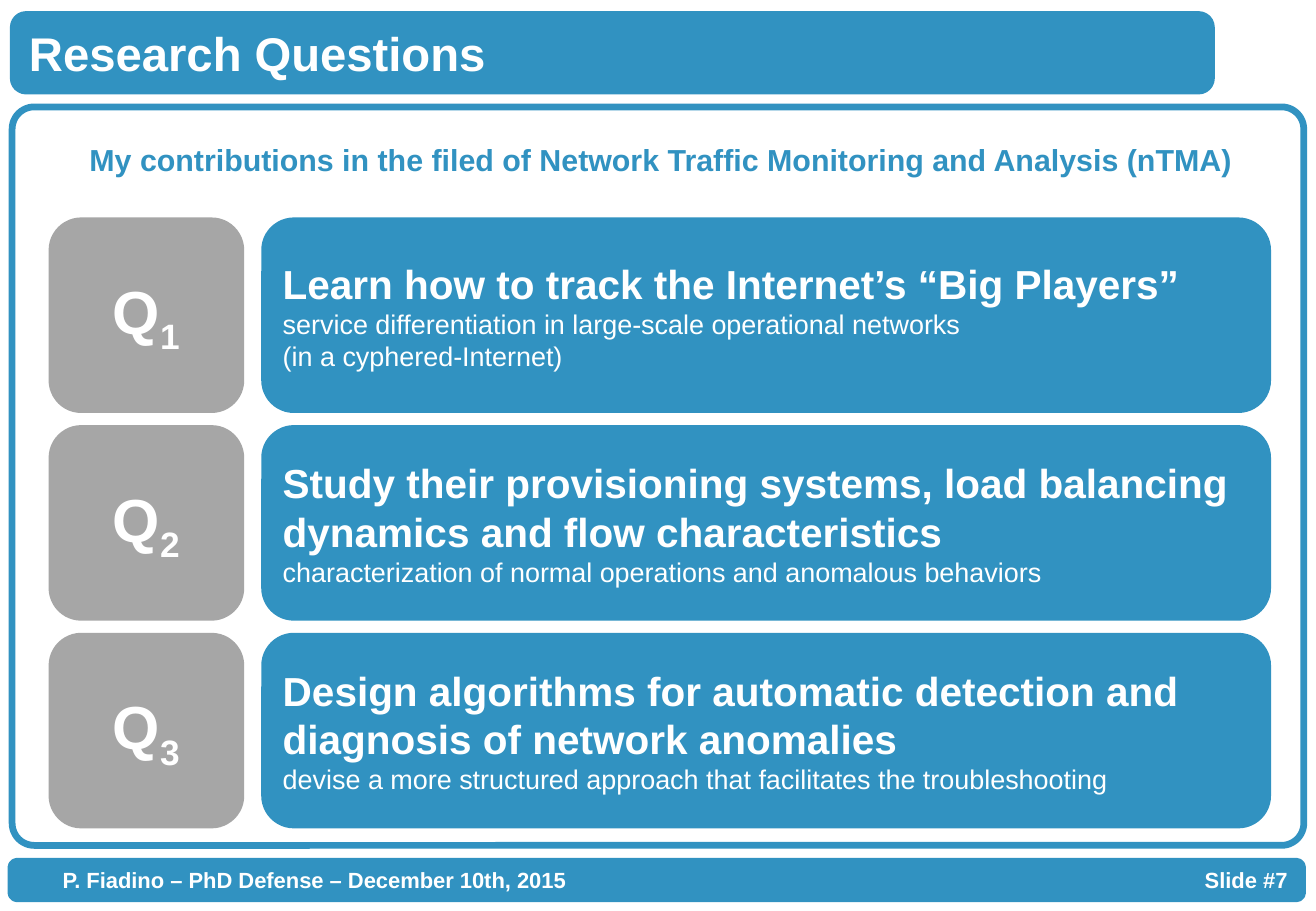
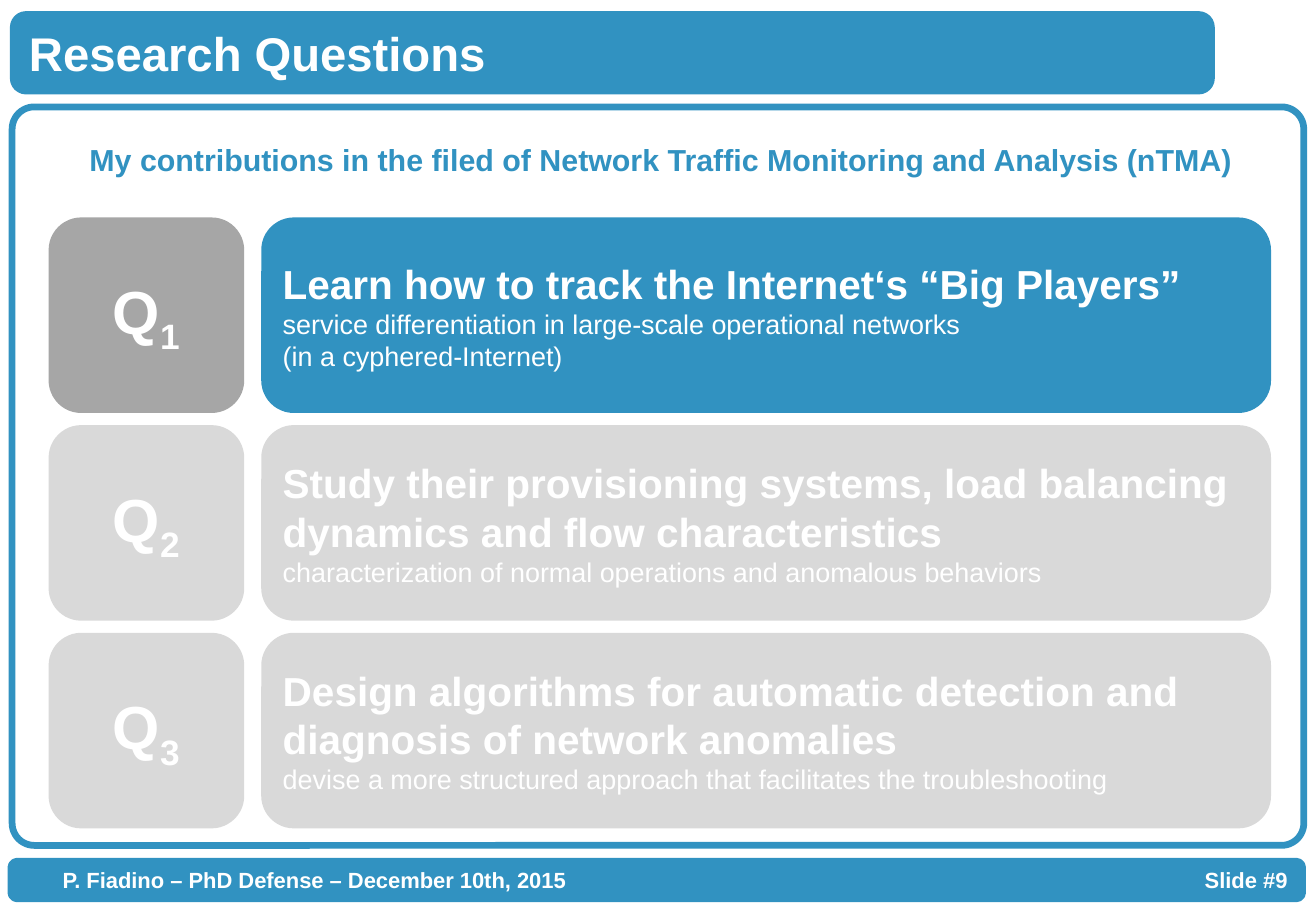
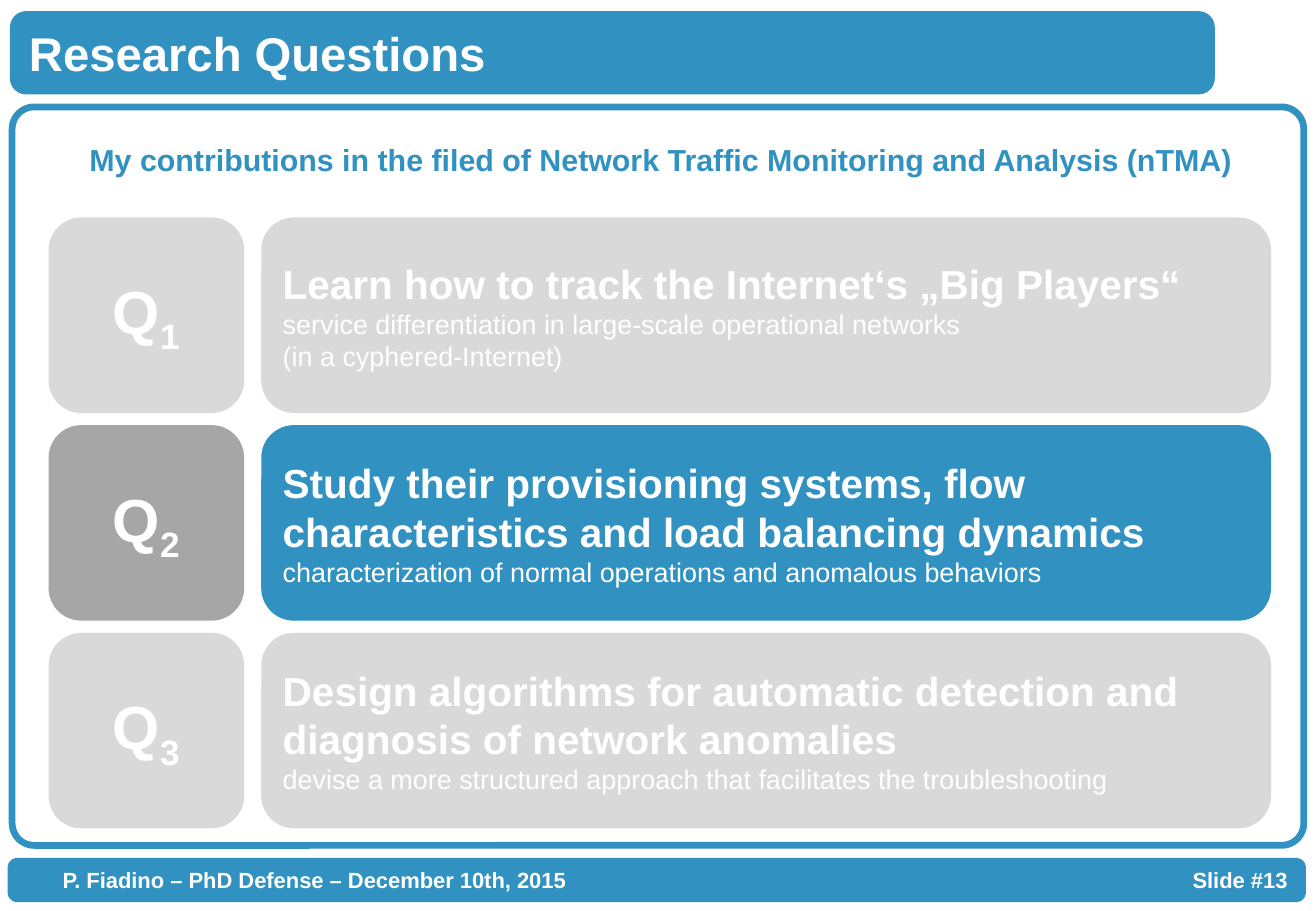
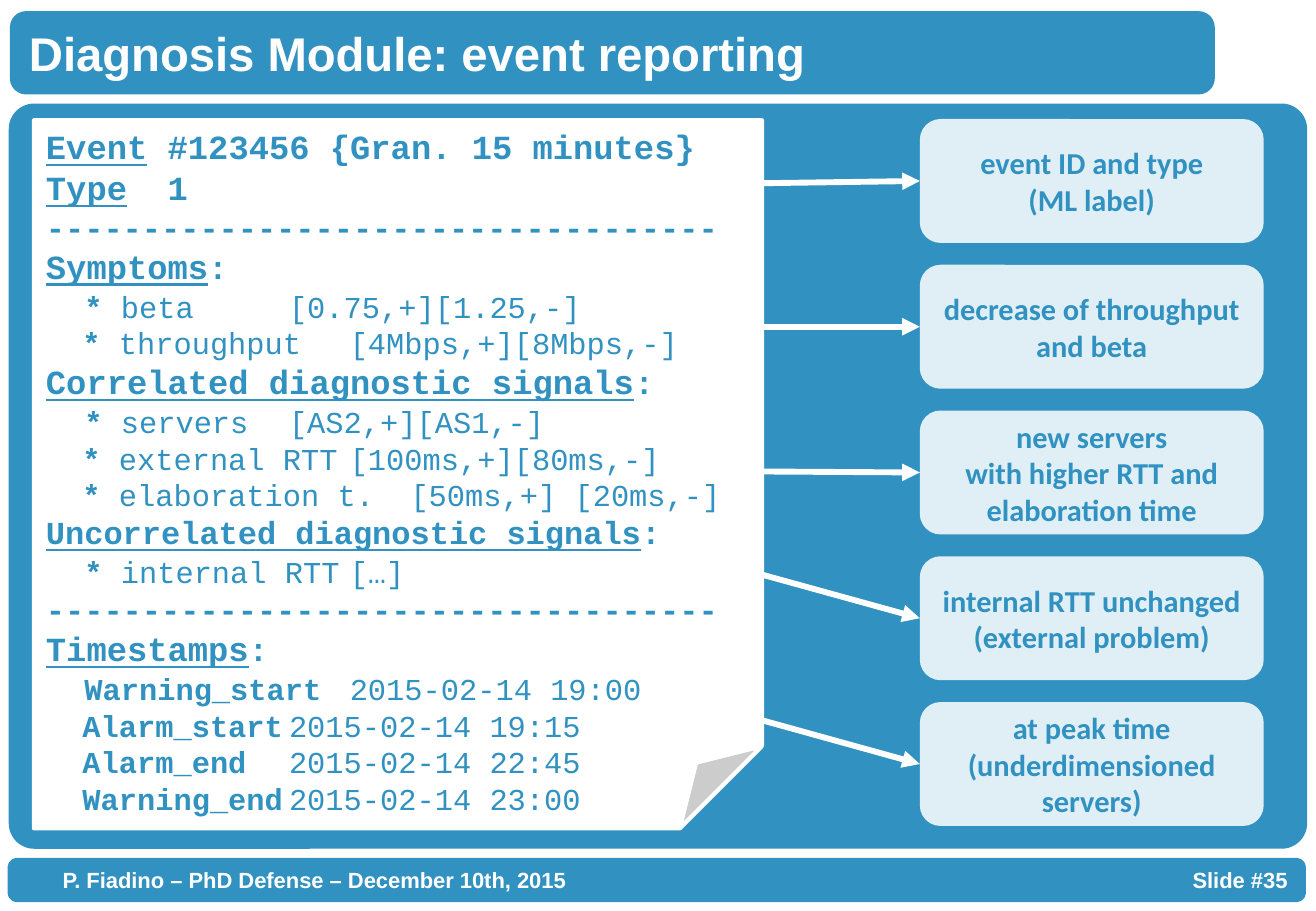
from pptx import Presentation
from pptx.dml.color import RGBColor
from pptx.enum.shapes import MSO_CONNECTOR, MSO_SHAPE
from pptx.enum.text import MSO_ANCHOR, PP_ALIGN
from pptx.oxml.ns import qn
from pptx.util import Inches, Pt
from lxml import etree

ROUND, FOLD = MSO_SHAPE.ROUNDED_RECTANGLE, MSO_SHAPE.FOLDED_CORNER
STRAIGHT = MSO_CONNECTOR.STRAIGHT
LEFT, CENTER = PP_ALIGN.LEFT, PP_ALIGN.CENTER
TOP = MSO_ANCHOR.TOP

HEX = {"blue": "3192C1", "white": "FFFFFF", "gray": "A6A6A6",
       "pale": "D9D9D9", "ice": "E0EFF6"}
RGB = {name: RGBColor.from_string(code) for name, code in HEX.items()}

FOOTER = "P. Fiadino – PhD Defense – December 10th, 2015"
LEAD = "My contributions in the filed of Network Traffic Monitoring and Analysis (nTMA)"
SERVICE = "service differentiation in large-scale operational networks\n(in a cyphered-Internet)"
NORMAL = "characterization of normal operations and anomalous behaviors"
DEVISE = "devise a more structured approach that facilitates the troubleshooting"
BALANCE = "Study their provisioning systems, load balancing dynamics and flow characteristics"
FLOW = "Study their provisioning systems, flow characteristics and load balancing dynamics"
DESIGN = "Design algorithms for automatic detection and diagnosis of network anomalies"

# title, slide number, lit rows, headings of the first two questions
SLIDES = [
    ("Research Questions", 7, (1, 2, 3),
     "Learn how to track the Internet’s “Big Players”", BALANCE),
    ("Research Questions", 9, (1,),
     "Learn how to track the Internet‘s “Big Players”", BALANCE),
    ("Research Questions", 13, (2,),
     "Learn how to track the Internet‘s „Big Players“", FLOW),
    ("Diagnosis Module: event reporting", 35, (), "", ""),
]

RULE = [("-" * 35, 19, "b")]
# one list of runs per line: text, size, style (b bold, u underlined)
REPORT = [
    [("Event", 20, "bu"), (" #123456 {Gran. 15 minutes}", 20, "b")],
    [("Type", 20, "bu"), ("  1", 20, "b")],
    RULE,
    [("Symptoms", 20, "bu"), (":", 19, "b")],
    [("  ", 19, "b"), ("* ", 18, "b"), ("beta\t\t[0.75,+][1.25,-]", 18, "")],
    [("  *", 18, "b"), (" throughput\t[4Mbps,+][8Mbps,-]", 18, "")],
    [("Correlated diagnostic signals", 20, "bu"), (":", 19, "b")],
    [("  ", 19, "b"), ("* ", 18, "b"), ("servers\t[AS2,+][AS1,-]", 18, "")],
    [("  *", 18, "b"), (" external RTT\t[100ms,+][80ms,-]", 18, "")],
    [("  * ", 18, "b"), ("elaboration t.\t[50ms,+] [20ms,-]", 18, "")],
    [("Uncorrelated diagnostic signals", 19, "bu"), (":", 19, "b")],
    [("  ", 19, "b"), ("* ", 18, "b"), ("internal RTT\t[…]", 18, "")],
    RULE,
    [("Timestamps", 20, "bu"), (":", 19, "b")],
    [("  ", 19, "b"), ("Warning_start\t", 18, "b"), ("2015-02-14 19:00", 18, "")],
    [("  Alarm_start\t", 18, "b"), ("2015-02-14 19:15", 18, "")],
    [("  Alarm_end\t", 18, "b"), ("2015-02-14 22:45", 18, "")],
    [("  Warning_end\t", 18, "b"), ("2015-02-14 23:00", 18, "")],
]

# callout text and the start of its arrow
CALLOUTS = [
    ("event ID and type\n(ML label)", 6.17, 1.51),
    ("decrease of throughput and beta", 6.08, 2.69),
    ("new servers\nwith higher RTT and elaboration time", 6.01, 3.88),
    ("internal RTT unchanged (external problem)", 6.05, 4.67),
    ("at peak time\n(underdimensioned servers)", 5.73, 5.78),
]


def add_box(slide, at, fill, edge=0, kind=ROUND):
    """Add a preset shape; edge is the line width in points, 0 for none."""
    box = slide.shapes.add_shape(kind, *map(Inches, at))
    box.shadow.inherit = False
    if fill:
        box.fill.solid()
        box.fill.fore_color.rgb = RGB[fill]
    else:
        box.fill.background()
    if edge:
        box.line.color.rgb = RGB[fill or "blue"]
        box.line.width = Pt(edge)
    else:
        box.line.fill.background()
    return box


def put_text(box, text, size, color="white", align=LEFT, face="Arial"):
    """Fill a shape with bold text and return its paragraphs."""
    frame = box.text_frame
    frame.word_wrap = True
    frame.text = text
    for par in frame.paragraphs:
        par.alignment = align
        for run in par.runs:
            font = run.font
            font.name, font.size, font.bold = face, Pt(size), True
            font.color.rgb = RGB[color]
    return frame.paragraphs


deck = Presentation()
deck.slide_width, deck.slide_height = Inches(10.83), Inches(7.5)

for title, number, lit, first, second in SLIDES:
    slide = deck.slides.add_slide(deck.slide_layouts[6])
    put_text(add_box(slide, (0.11, 0.12, 9.86, 0.63), "blue", 4), title, 28)
    panel = add_box(slide, (0.1, 0.88, 10.63, 6.08), None if lit else "blue", 4)
    panel.adjustments[0] = 0.03

    bar = add_box(slide, (0.09, 7.09, 10.63, 0.31), "blue", 4)
    bar.text_frame.margin_left = Inches(0.41)
    bar.text_frame.margin_right = Inches(0.05)
    par = put_text(bar, f"{FOOTER}\tSlide #{number}", 13)[0]
    tabs = etree.SubElement(par._p.get_or_add_pPr(), qn("a:tabLst"))
    etree.SubElement(tabs, qn("a:tab"), pos=str(Inches(10.08)), algn="r")

    if not lit:
        continue

    lead = slide.shapes.add_textbox(*map(Inches, (0.42, 1.11, 10.04, 0.4)))
    put_text(lead, LEAD, 18, "blue", CENTER)
    asks = [(first, SERVICE), (second, NORMAL), (DESIGN, DEVISE)]
    for num, (head, detail) in enumerate(asks, 1):
        top = 1.79 + 1.71 * (num - 1)
        on = num in lit
        card = add_box(slide, (2.15, top, 8.31, 1.61), "blue" if on else "pale")
        for par in put_text(card, f"{head}\n{detail}", 24)[1:]:
            par.runs[0].font.size = Pt(16)
            par.runs[0].font.bold = False

        badge = add_box(slide, (0.4, top, 1.61, 1.61), "gray" if on else "pale")
        par = put_text(badge, "Q", 36, align=CENTER)[0]
        sub = par.add_run()
        sub.text = str(num)
        sub.font.name, sub.font.size, sub.font.bold = "Arial", Pt(36), True
        sub.font.color.rgb = RGB["white"]
        sub._r.get_or_add_rPr().set("baseline", "-25000")

# The last slide holds the event report and its callouts
note = add_box(slide, (0.28, 0.99, 5.99, 5.83), "white", 2.5, FOLD)
guides = note._element.spPr.find(qn("a:prstGeom")).get_or_add_avLst()
etree.SubElement(guides, qn("a:gd"), name="adj", fmla="val 11600")
frame = note.text_frame
frame.word_wrap = True
frame.vertical_anchor = TOP
for row, parts in enumerate(REPORT):
    par = frame.add_paragraph() if row else frame.paragraphs[0]
    par.alignment = LEFT
    for text, size, style in parts:
        run = par.add_run()
        run.text = text
        font = run.font
        font.name, font.size = "Courier New", Pt(size)
        font.bold, font.underline = "b" in style, "u" in style
        font.color.rgb = RGB["blue"]

for row, (text, x, y) in enumerate(CALLOUTS):
    tag = add_box(slide, (7.57, 0.98 + 1.2 * row, 2.83, 1.02), "ice")
    put_text(tag, text, 18, "blue", CENTER, "Calibri")
    arrow = slide.shapes.add_connector(STRAIGHT, Inches(x), Inches(y), Inches(7.57), Inches(y))
    arrow.end_connect(tag, 1)
    arrow.line.color.rgb = RGB["white"]
    arrow.line.width = Pt(3.5)
    props = arrow._element.spPr
    etree.SubElement(props.find(qn("a:ln")), qn("a:tailEnd"), type="triangle")
    etree.SubElement(props, qn("a:effectLst"))

deck.save("out.pptx")
